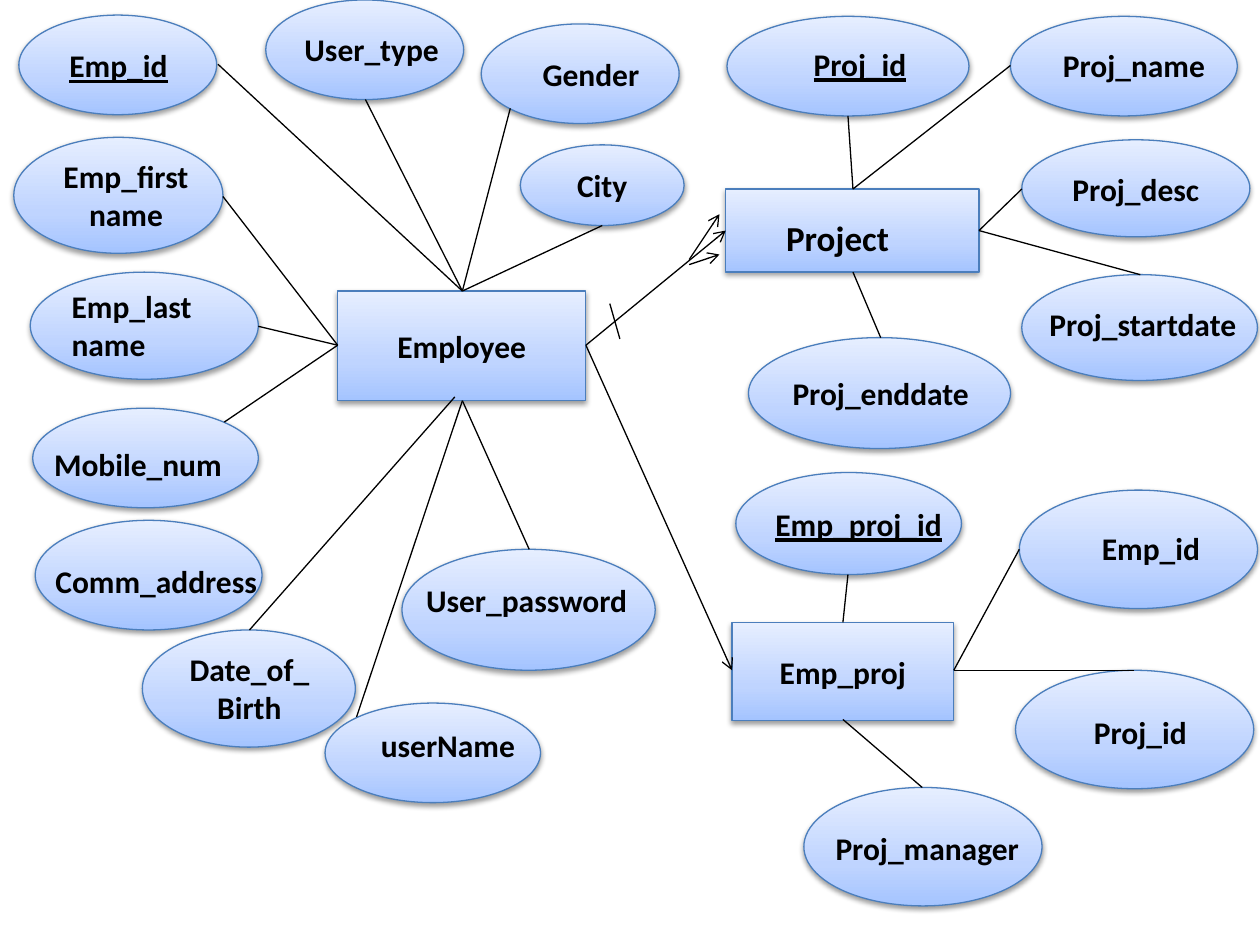
from dataclasses import dataclass

from lxml import etree
from pptx import Presentation
from pptx.dml.color import RGBColor
from pptx.enum.shapes import MSO_CONNECTOR, MSO_SHAPE
from pptx.enum.text import MSO_ANCHOR, PP_ALIGN
from pptx.oxml.ns import qn
from pptx.util import Pt

EMU_PER_PX = 9144
BLANK_LAYOUT = 6
RECTANGLE = MSO_SHAPE.RECTANGLE
OVAL = MSO_SHAPE.OVAL
STRAIGHT = MSO_CONNECTOR.STRAIGHT
LEFT = PP_ALIGN.LEFT
CENTER = PP_ALIGN.CENTER
TOP = MSO_ANCHOR.TOP
MIDDLE = MSO_ANCHOR.MIDDLE


@dataclass(frozen=True)
class Theme:
    font: str = "Calibri"
    size: int = 18
    large: int = 20
    ink: str = "000000"
    outline: str = "4B7EBC"
    line_width: float = 0.75
    gradient: tuple = ((0, "A4C4FF"), (35, "BFD4FF"), (100, "E6EEFF"))
    gradient_angle: int = 90
    shadow_opacity: int = 38


def px(length):
    return length * EMU_PER_PX


def add_color(parent, color):
    return etree.SubElement(parent, qn("a:srgbClr"), val=color)


class Diagram:
    def __init__(self, theme, slide):
        self.theme = theme
        self.slide = slide

    def set_text(self, shape, text, align=CENTER, anchor=MIDDLE, size=None, key=False):
        frame = shape.text_frame
        frame.word_wrap = True
        frame.vertical_anchor = anchor
        frame.text = text
        for para in frame.paragraphs:
            para.alignment = align
            para.font.name = self.theme.font
            para.font.size = Pt(size or self.theme.size)
            para.font.bold = True
            para.font.underline = key
            para.font.color.rgb = RGBColor.from_string(self.theme.ink)

    def node(self, kind, area, text=""):
        shape = self.slide.shapes.add_shape(kind, *map(px, area))
        shape.line.color.rgb = RGBColor.from_string(self.theme.outline)
        shape.line.width = Pt(self.theme.line_width)
        self.shade(shape)
        self.drop_shadow(shape)
        if text:
            self.set_text(shape, text)

    def shade(self, shape):
        shape.fill.gradient()
        shape.fill.gradient_angle = self.theme.gradient_angle
        stops = shape.element.spPr.find(f".//{qn('a:gsLst')}")
        for stop in list(stops):
            stops.remove(stop)
        for position, color in self.theme.gradient:
            stop = etree.SubElement(stops, qn("a:gs"), pos=str(position * 1000))
            add_color(stop, color)

    def drop_shadow(self, shape):
        shape.shadow.inherit = False
        effects = shape.element.spPr.find(qn("a:effectLst"))
        shadow = etree.SubElement(
            effects, qn("a:outerShdw"), blurRad=str(Pt(3.1)), dist=str(Pt(1.6)),
            dir="5400000", rotWithShape="0")
        color = add_color(shadow, self.theme.ink)
        opacity = str(self.theme.shadow_opacity * 1000)
        etree.SubElement(color, qn("a:alpha"), val=opacity)

    def label(self, area, text, align=CENTER, size=None, key=False):
        box = self.slide.shapes.add_textbox(*map(px, area))
        self.set_text(box, text, align, TOP, size, key)

    def line(self, start, end, arrow=False):
        connector = self.slide.shapes.add_connector(
            STRAIGHT, *map(px, (*start, *end)))
        connector.line.color.rgb = RGBColor.from_string(self.theme.ink)
        connector.line.width = Pt(self.theme.line_width)
        if arrow:
            outline = connector.element.spPr.find(qn("a:ln"))
            etree.SubElement(outline, qn("a:tailEnd"), type="arrow")
        etree.SubElement(connector.element.spPr, qn("a:effectLst"))


ENTITIES = [
    ("", (576, 150, 201, 66)),
    ("Emp_proj", (581, 494, 176, 78)),
    ("Employee", (268, 231, 197, 87)),
]

KEY_ATTRIBUTES = [
    ("Proj_id", (577, 13, 192, 79), (618, 31, 129, 40)),
    ("Emp_proj_id", (584, 375, 179, 81), (601, 396, 161, 40)),
    ("Emp_id", (15, 12, 157, 79), (33, 32, 122, 40)),
]

ATTRIBUTES = [
    ("Proj_enddate", (594, 268, 208, 88), (614, 292, 170, 40)),
    ("Proj_startdate", (811, 218, 187, 84), (821, 237, 172, 40)),
    ("Proj_name", (802, 13, 180, 79), (828, 32, 144, 40)),
    ("Proj_desc", (811, 111, 181, 77), (836, 130, 131, 40)),
    ("Proj_manager", (638, 625, 189, 94), (651, 653, 170, 40)),
    ("Proj_id", (806, 532, 189, 94), (854, 561, 102, 40)),
    ("Emp_id", (809, 389, 189, 94), (846, 415, 135, 40)),
    ("User_type", (211, 0, 157, 79), (223, 19, 144, 40)),
    ("Gender", (382, 19, 157, 79), (398, 39, 142, 40)),
    ("Emp_first\vname", (11, 109, 166, 92), (36, 120, 128, 71)),
    ("Mobile_num", (26, 324, 179, 79), (33, 348, 153, 40)),
    ("Date_of_\vBirth", (113, 500, 169, 93), (135, 511, 126, 71)),
    ("User_password", (319, 436, 201, 96), (328, 456, 180, 40)),
    ("userName", (258, 558, 171, 79), (282, 571, 147, 40)),
    ("Comm_address", (28, 413, 180, 87), (27, 441, 194, 40)),
]

SPOKES = {
    (367, 231): [(405, 86), (290, 79), (173, 51), (478, 179)],
    (268, 274): [(177, 156), (205, 259), (178, 335)],
    (367, 318): [(283, 569), (420, 436)],
    (361, 315): [(198, 500)],
    (677, 150): [(673, 92), (802, 52)],
    (777, 183): [(811, 150), (905, 218)],
    (677, 216): [(699, 268)],
    (669, 494): [(673, 456)],
    (757, 532): [(809, 436), (900, 532)],
    (669, 571): [(732, 625)],
    (484, 241): [(492, 269)],
}

ARROWS = {
    (465, 274): [(576, 183), (581, 532)],
    (547, 210): [(571, 202)],
    (547, 206): [(571, 170)],
}


def main():
    deck = Presentation()
    deck.slide_width = px(1000)
    deck.slide_height = px(750)
    slide = deck.slides.add_slide(deck.slide_layouts[BLANK_LAYOUT])
    theme = Theme()
    diagram = Diagram(theme, slide)

    for name, area in ENTITIES:
        diagram.node(RECTANGLE, area, name)
    diagram.label((614, 167, 119, 44), "Project", LEFT, theme.large)

    for attributes, key in ((KEY_ATTRIBUTES, True), (ATTRIBUTES, False)):
        for name, oval, label in attributes:
            diagram.node(OVAL, oval)
            diagram.label(label, name, key=key)
    diagram.node(OVAL, (24, 216, 181, 85))
    diagram.label((47, 223, 157, 71), "Emp_last\nname", LEFT)
    diagram.node(OVAL, (413, 115, 130, 64), "City")

    for links, arrow in ((SPOKES, False), (ARROWS, True)):
        for start, ends in links.items():
            for end in ends:
                diagram.line(start, end, arrow)

    deck.save("out.pptx")


if __name__ == "__main__":
    main()
